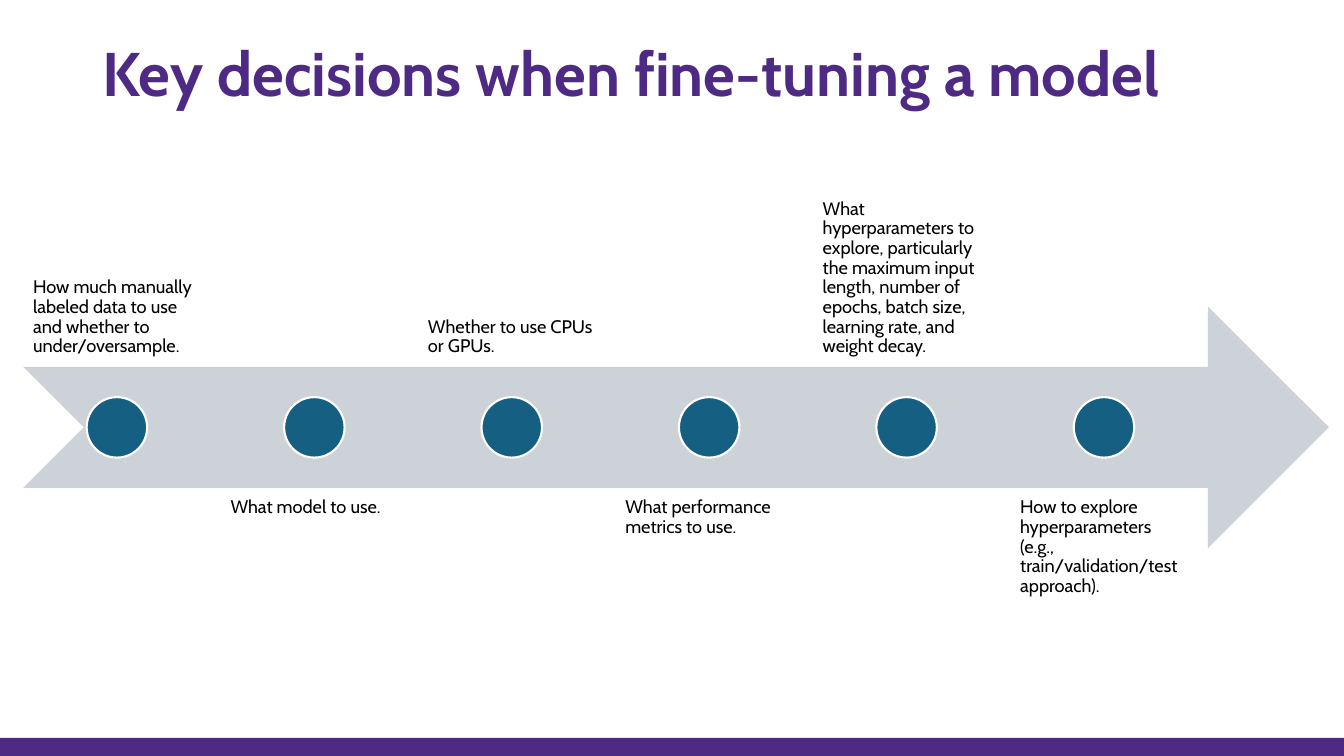
import pptx
import pptx.util
import pptx.dml.color
import pptx.enum.shapes
import pptx.enum.text

TITLE = "Key decisions when fine-tuning a model"
DECISIONS = [
    "How much manually labeled data to use and whether to under/oversample.",
    "What model to use.",
    "Whether to use CPUs or GPUs.",
    "What performance metrics to use.",
    "What hyperparameters to explore, particularly the maximum input length, "
    "number of epochs, batch size, learning rate, and weight decay.",
    "How to explore hyperparameters (e.g., train/validation/test approach).",
]
PURPLE, ARROW_GRAY, DOT_BLUE, WHITE, BLACK = "4E2A84", "CCD2D8", "156082", "FFFFFF", "000000"

SLIDE_W, SLIDE_H = 13.33, 7.5
FOOTER_H = 0.18
ARROW_LEFT, ARROW_TOP, ARROW_W, ROW_H = 0.23, 3.04, 12.95, 2.4
COLUMN_STEP, COLUMN_W = 1.958, 1.86
DOT = ROW_H / 4
ABOVE_TOP = ARROW_TOP - 0.75 * ROW_H
BELOW_TOP = ARROW_TOP + 0.75 * ROW_H

SHAPES = pptx.enum.shapes.MSO_SHAPE
ANCHOR = pptx.enum.text.MSO_ANCHOR


def color(hex_string):
    return pptx.dml.color.RGBColor.from_string(hex_string)


def inches(*lengths):
    return [pptx.util.Inches(length) for length in lengths]


def add_filled(preset, box, fill, outline=None):
    shape = slide.shapes.add_shape(preset, *inches(*box))
    shape.shadow.inherit = False
    shape.fill.solid()
    shape.fill.fore_color.rgb = color(fill)
    if outline:
        shape.line.color.rgb = color(outline)
        shape.line.width = pptx.util.Pt(1.5)
    else:
        shape.line.fill.background()


def write(frame, text, anchor, size, hex_string, bold, margins):
    frame.text = text
    frame_format = {
        "word_wrap": True,
        "auto_size": pptx.enum.text.MSO_AUTO_SIZE.NONE,
        "vertical_anchor": anchor,
    }
    for side, margin in zip(("left", "top", "right", "bottom"), inches(*margins)):
        frame_format["margin_" + side] = margin
    for key, value in frame_format.items():
        setattr(frame, key, value)
    paragraph = frame.paragraphs[0]
    paragraph.alignment = pptx.enum.text.PP_ALIGN.LEFT
    paragraph.line_spacing = 0.9
    font = paragraph.runs[0].font
    for key, value in {"name": "Cabin", "size": pptx.util.Pt(size), "bold": bold}.items():
        setattr(font, key, value)
    font.color.rgb = color(hex_string)


deck = pptx.Presentation()
deck.slide_width, deck.slide_height = inches(SLIDE_W, SLIDE_H)
slide = deck.slides.add_slide(deck.slide_layouts.get_by_name("Title Only"))

title = slide.shapes.title
title.left, title.top, title.width, title.height = inches(0.92, 0.27, 11.5, 0.98)
write(title.text_frame, TITLE, ANCHOR.MIDDLE, 44, PURPLE, True, (0.1, 0.05, 0.1, 0.05))

add_filled(SHAPES.RECTANGLE, (0, SLIDE_H - FOOTER_H, SLIDE_W, FOOTER_H), PURPLE)
add_filled(SHAPES.NOTCHED_RIGHT_ARROW, (ARROW_LEFT, ARROW_TOP, ARROW_W, ROW_H), ARROW_GRAY)

for column, decision in enumerate(DECISIONS):
    left = ARROW_LEFT + column * COLUMN_STEP
    above = column % 2 == 0
    label = slide.shapes.add_textbox(
        *inches(left, ABOVE_TOP if above else BELOW_TOP, COLUMN_W, ROW_H))
    write(label.text_frame, decision, ANCHOR.BOTTOM if above else ANCHOR.TOP,
          13, BLACK, False, [0.1] * 4)
    add_filled(SHAPES.OVAL,
               (left + (COLUMN_W - DOT) / 2, ARROW_TOP + (ROW_H - DOT) / 2, DOT, DOT),
               DOT_BLUE, WHITE)

deck.save("out.pptx")
